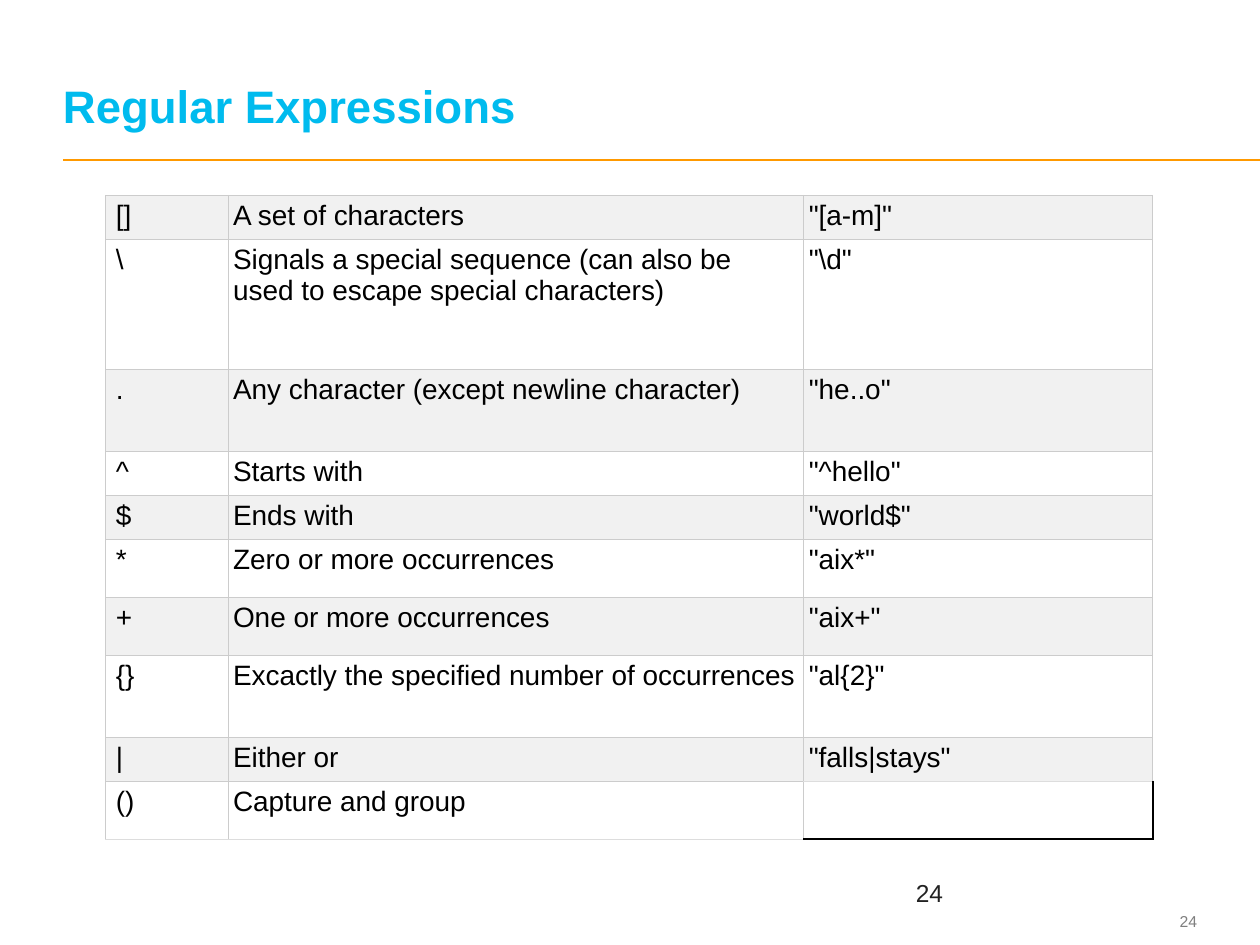
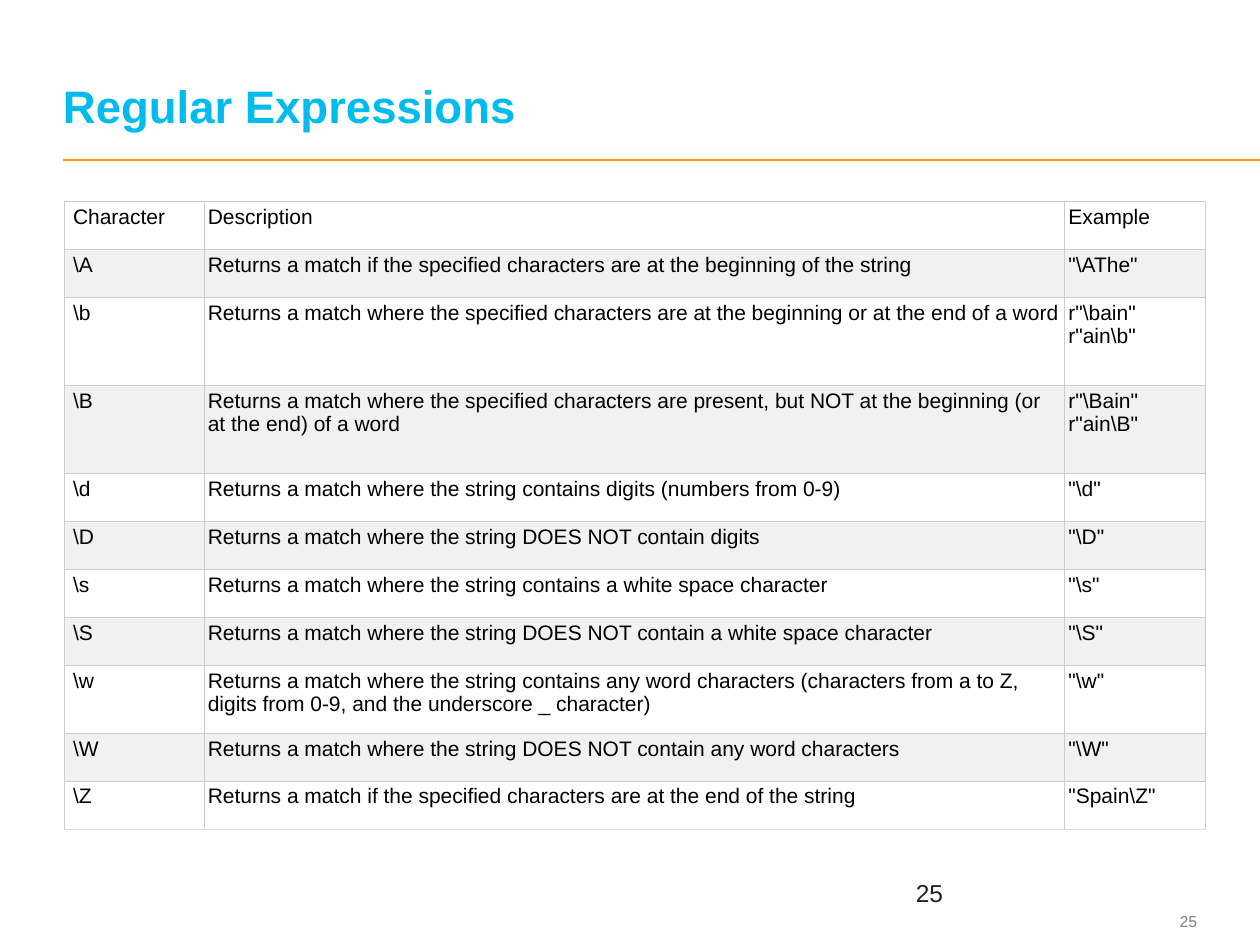
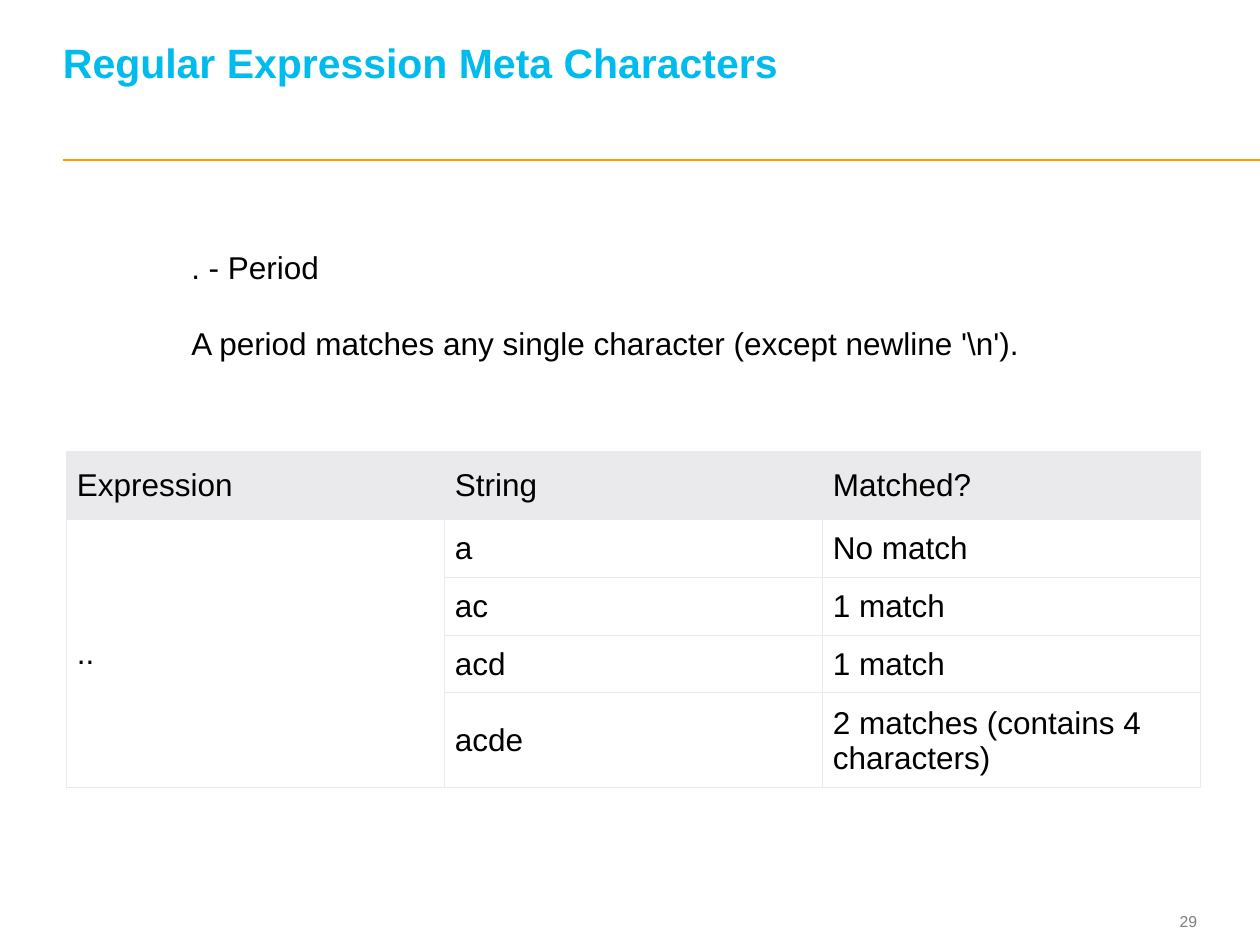
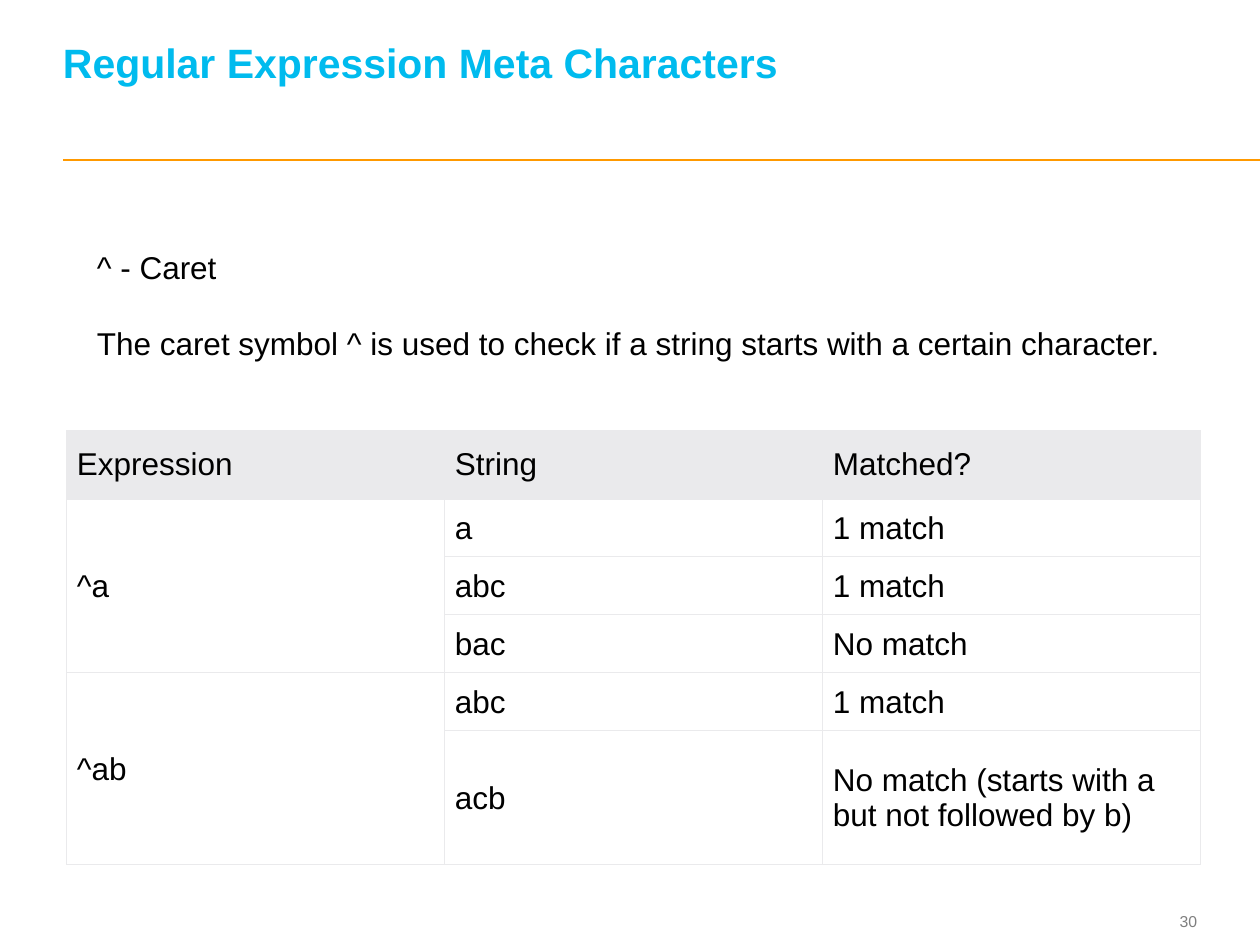
from dataclasses import dataclass
from typing import Optional

from lxml import etree
from pptx import Presentation
from pptx import util as u
from pptx.dml.color import RGBColor
from pptx.enum import shapes, text
from pptx.oxml.ns import qn

SCALE = 9144
WIDE, HIGH = 1000, 750


@dataclass(frozen=True)
class Theme:
    font: str = "Arial"
    title: str = "00BBEE"
    rule: str = "FF9900"
    ink: str = "000000"
    page: str = "222222"
    foot: str = "7F7F7F"
    white: str = "FFFFFF"
    band: str = "F1F1F1"
    head: str = "EAEAEC"
    grid: str = "CCCCCC"
    base: str = "DDDDDD"
    title_pt: float = 26
    meta_pt: float = 23.4
    body_pt: float = 18
    list_pt: float = 16
    small_pt: float = 12
    page_pt: float = 14
    foot_pt: float = 9
    lead_pt: float = 26
    gap_pt: float = 22
    edge_pt: float = 0.6
    line_pt: float = 1


THEME = Theme()


@dataclass(frozen=True)
class Box:
    x: int
    y: int
    w: int
    h: int


@dataclass(frozen=True)
class Pad:
    left: int = 0
    top: int = 0
    right: int = 0
    low: int = 0


@dataclass(frozen=True)
class Style:
    size: float
    color: str = THEME.ink
    bold: bool = False


@dataclass(frozen=True)
class Grid:
    x: int
    y: int
    cols: tuple[int, ...]
    rows: tuple[int, ...]
    cells: tuple[tuple[str, ...], ...]
    size: float
    fills: tuple[str, ...]
    first: Pad
    rest: Pad
    top: Pad
    edge: str
    base: str
    mid: bool = False
    spans: tuple[tuple[int, int], ...] = ()


@dataclass(frozen=True)
class Page:
    num: int
    title: str
    size: float
    drop: int
    grid: Grid
    note: Optional[Box] = None
    lines: tuple[str, ...] = ()


TITLE = Box(50, 19, 897, 86)
FOOT = Box(891, 718, 59, 27)
COUNT = Box(717, 692, 225, 42)
INSET = Pad(10, 5, 10, 5)


def px(num: int) -> u.Emu:
    return u.Emu(num * SCALE)


def paint(par, style: Style) -> None:
    for run in par.runs:
        font = run.font
        font.name = THEME.font
        font.size = u.Pt(style.size)
        font.bold = style.bold
        font.color.rgb = RGBColor.from_string(style.color)


def write(slide, box: Box, words: str, style: Style, pad: Pad = Pad()):
    shape = slide.shapes.add_textbox(px(box.x), px(box.y), px(box.w), px(box.h))
    frame = shape.text_frame
    frame.word_wrap = True
    frame.margin_left, frame.margin_top = px(pad.left), px(pad.top)
    frame.margin_right, frame.margin_bottom = px(pad.right), px(pad.low)
    frame.text = words
    for par in frame.paragraphs:
        paint(par, style)
    return frame


def rule(slide) -> None:
    line = slide.shapes.add_connector(
        shapes.MSO_CONNECTOR.STRAIGHT, px(50), px(127), px(WIDE), px(127))
    line.line.color.rgb = RGBColor.from_string(THEME.rule)
    line.line.width = u.Pt(THEME.line_pt)
    etree.SubElement(line._element.spPr, qn("a:effectLst"))


def border(cell, side: str, color: str, width: float = THEME.edge_pt) -> None:
    props = cell._tc.get_or_add_tcPr()
    tag = qn(f"a:ln{side}")
    for old in props.findall(tag):
        props.remove(old)
    line = etree.Element(tag, w=str(u.Pt(width)))
    fill = etree.SubElement(line, qn("a:solidFill"))
    etree.SubElement(fill, qn("a:srgbClr"), val=color)
    order = [qn(f"a:ln{name}") for name in "LRTB"]
    ahead = order[:order.index(tag)]
    props.insert(sum(item.tag in ahead for item in props), line)


def draw(slide, grid: Grid):
    count = len(grid.rows)
    table = slide.shapes.add_table(
        count, len(grid.cols), px(grid.x), px(grid.y),
        px(sum(grid.cols)), px(sum(grid.rows))).table
    table.first_row = table.horz_banding = False
    for col, width in zip(table.columns, grid.cols):
        col.width = px(width)
    for row, height in zip(table.rows, grid.rows):
        row.height = px(height)
    for r, words in enumerate(grid.cells):
        for c, word in enumerate(words):
            cell = table.cell(r, c)
            pad = grid.top if r == 0 else grid.rest
            left = grid.first.left if c == 0 else pad.left
            cell.margin_left, cell.margin_top = px(left), px(pad.top)
            cell.margin_right, cell.margin_bottom = px(pad.right), px(pad.low)
            if grid.mid:
                cell.vertical_anchor = text.MSO_ANCHOR.MIDDLE
            cell.fill.solid()
            cell.fill.fore_color.rgb = RGBColor.from_string(grid.fills[r])
            for side in "LRTB":
                low = side == "B" and r == count - 1
                border(cell, side, grid.base if low else grid.edge)
            if word:
                cell.text_frame.text = word
                for par in cell.text_frame.paragraphs:
                    paint(par, Style(grid.size))
    for start, stop in grid.spans:
        table.cell(start, 0).merge(table.cell(stop, 0))
    return table


def stripes(count: int, *pair: str) -> tuple[str, ...]:
    return tuple(pair[r % 2] for r in range(count))


def listing(x: int, y: int, cols: tuple[int, ...], rows: tuple[int, ...],
            cells: tuple[tuple[str, ...], ...], size: float,
            pair: tuple[str, str], gap: int) -> Grid:
    pad = Pad(gap, gap, gap, gap)
    return Grid(x, y, cols, rows, cells, size, stripes(len(rows), *pair),
                Pad(gap + 4), pad, pad, THEME.grid, THEME.base)


def matches(y: int, last: int, cells: tuple[tuple[str, ...], ...],
            spans: tuple[tuple[int, int], ...]) -> Grid:
    heads = ("Expression", "String", "Matched?")
    count = len(cells)
    return Grid(53, y, (300,) * 3, (54, *(46,) * (count - 1), last),
                (heads, *cells), THEME.body_pt,
                (THEME.head, *(THEME.white,) * count),
                Pad(8), Pad(8, 8, 7, 7), Pad(8, 12, 7, 12),
                THEME.head, THEME.head, True, spans)


SIGNS = listing(
    84, 155, (97, 457, 277), (35, 103, 65, 35, 35, 46, 46, 65, 35, 46), (
        ("[]", "A set of characters", '"[a-m]"'),
        ("\\", "Signals a special sequence (can also be used to escape special characters)", r'"\d"'),
        (".", "Any character (except newline character)", '"he..o"'),
        ("^", "Starts with", '"^hello"'),
        ("$", "Ends with", '"world$"'),
        ("*", "Zero or more occurrences", '"aix*"'),
        ("+", "One or more occurrences", '"aix+"'),
        ("{}", "Excactly the specified number of occurrences", '"al{2}"'),
        ("|", "Either or", '"falls|stays"'),
        ("()", "Capture and group", ""),
    ), THEME.list_pt, (THEME.band, THEME.white), 4)

CODES = listing(
    51, 160, (111, 683, 112), (38, 38, 70, 70, 38, 38, 38, 38, 54, 38, 38), (
        ("Character", "Description", "Example"),
        (r"\A", "Returns a match if the specified characters are at the beginning of the string", r'"\AThe"'),
        (r"\b", "Returns a match where the specified characters are at the beginning or at the end of a word",
         'r"\\bain"\vr"ain\\b"'),
        (r"\B", "Returns a match where the specified characters are present, but NOT at the beginning "
         "(or at the end) of a word", 'r"\\Bain"\vr"ain\\B"'),
        (r"\d", "Returns a match where the string contains digits (numbers from 0-9)", r'"\d"'),
        (r"\D", "Returns a match where the string DOES NOT contain digits", r'"\D"'),
        (r"\s", "Returns a match where the string contains a white space character", r'"\s"'),
        (r"\S", "Returns a match where the string DOES NOT contain a white space character", r'"\S"'),
        (r"\w", "Returns a match where the string contains any word characters (characters from a to Z, "
         "digits from 0-9, and the underscore _ character)", r'"\w"'),
        (r"\W", "Returns a match where the string DOES NOT contain any word characters", r'"\W"'),
        (r"\Z", "Returns a match if the specified characters are at the end of the string", r'"Spain\Z"'),
    ), THEME.small_pt, (THEME.white, THEME.band), 3)

DOTS = matches(358, 75, (
    ("..", "a", "No match"),
    ("", "ac", "1 match"),
    ("", "acd", "1 match"),
    ("", "acde", "2 matches (contains 4 characters)"),
), ((1, 4),))

CARETS = matches(342, 106, (
    ("^a", "a", "1 match"),
    ("", "abc", "1 match"),
    ("", "bac", "No match"),
    ("^ab", "abc", "1 match"),
    ("", "acb", "No match (starts with a but not followed by b)"),
), ((1, 3), (4, 5)))

BASIC = "Regular Expressions"
META = "Regular Expression Meta Characters"
PAGES = (
    Page(24, BASIC, THEME.title_pt, 0, SIGNS),
    Page(25, BASIC, THEME.title_pt, 0, CODES),
    Page(29, META, THEME.meta_pt, 36, DOTS, Box(142, 192, 683, 101),
         (". - Period", r"A period matches any single character (except newline '\n').")),
    Page(30, META, THEME.meta_pt, 36, CARETS, Box(67, 192, 872, 101),
         ("^ - Caret", "The caret symbol ^ is used to check if a string starts with a certain character.")),
)


def build(deck, page: Page) -> None:
    slide = deck.slides.add_slide(deck.slide_layouts[6])
    rule(slide)
    foot = write(slide, FOOT, str(page.num), Style(THEME.foot_pt, THEME.foot))
    foot.vertical_anchor = text.MSO_ANCHOR.MIDDLE
    foot.paragraphs[0].alignment = text.PP_ALIGN.RIGHT
    title = write(slide, TITLE, page.title,
                  Style(page.size, THEME.title, True), Pad(low=page.drop))
    title.vertical_anchor = text.MSO_ANCHOR.BOTTOM
    title.paragraphs[0].line_spacing = u.Pt(THEME.lead_pt)
    if page.note:
        note = write(slide, page.note, "\n".join(page.lines),
                     Style(THEME.body_pt), INSET)
        for par in note.paragraphs[1:]:
            par.space_before = u.Pt(THEME.gap_pt)
    else:
        write(slide, COUNT, str(page.num),
              Style(THEME.page_pt, THEME.page), INSET)
    table = draw(slide, page.grid)
    if page.grid is SIGNS:
        last = len(SIGNS.rows) - 1
        border(table.cell(last - 1, 2), "B", THEME.base)
        blank = table.cell(last, 2)
        border(blank, "T", THEME.base)
        for side in "RB":
            border(blank, side, THEME.ink, THEME.line_pt)


def main() -> None:
    deck = Presentation()
    deck.slide_width, deck.slide_height = px(WIDE), px(HIGH)
    for page in PAGES:
        build(deck, page)
    deck.save("out.pptx")


if __name__ == "__main__":
    main()
